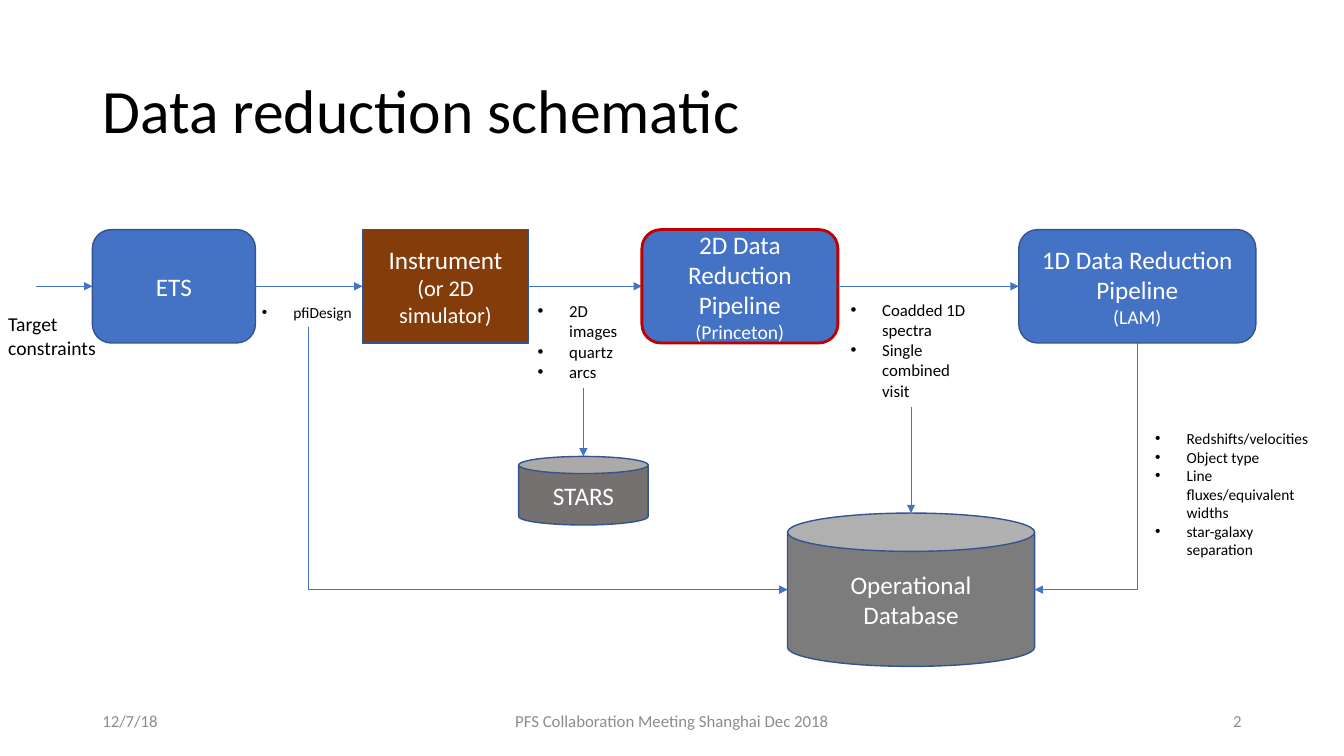
from dataclasses import dataclass

from lxml import etree
from pptx import Presentation
from pptx.dml.color import RGBColor
from pptx.enum.shapes import MSO_CONNECTOR, MSO_SHAPE
from pptx.enum.text import MSO_ANCHOR, MSO_AUTO_SIZE, PP_ALIGN
from pptx.oxml.ns import qn
from pptx.util import Pt

ROUND, RECT, CAN = MSO_SHAPE.ROUNDED_RECTANGLE, MSO_SHAPE.RECTANGLE, MSO_SHAPE.CAN
STRAIGHT, ELBOW = MSO_CONNECTOR.STRAIGHT, MSO_CONNECTOR.ELBOW
LEFT, MID, RIGHT = PP_ALIGN.LEFT, PP_ALIGN.CENTER, PP_ALIGN.RIGHT
TOP, MIDDLE = MSO_ANCHOR.TOP, MSO_ANCHOR.MIDDLE


@dataclass(frozen=True)
class Theme:
    face: str = "Calibri"
    black: str = "000000"
    white: str = "FFFFFF"
    blue: str = "4472C4"
    navy: str = "325491"
    red: str = "C00000"
    brown: str = "843C0B"
    stone: str = "767171"
    gray: str = "7C7C7C"
    pale: str = "8C8C8C"
    title: int = 44
    head: int = 18
    sub: int = 16
    label: int = 14
    note: int = 12
    small: int = 11
    indent: float = 22.5


class Board:
    def __init__(self, deck, theme):
        self.theme = theme
        self.slide = deck.slides.add_slide(deck.slide_layouts[5])
        self.shapes = self.slide.shapes

    def words(self, shape, lines, color, align=LEFT, anchor=TOP, bullet=False):
        frame = shape.text_frame
        frame.word_wrap = True
        frame.vertical_anchor = anchor
        for i, (text, size) in enumerate(lines):
            para = frame.add_paragraph() if i else frame.paragraphs[0]
            para.text = text
            para.alignment = align
            if bullet:
                self.dot(para)
            font = para.font
            font.name, font.size = self.theme.face, Pt(size)
            font.color.rgb = RGBColor.from_string(color)

    def dot(self, para):
        props = para._p.get_or_add_pPr()
        indent = Pt(self.theme.indent)
        props.set("marL", str(indent))
        props.set("indent", str(-indent))
        etree.SubElement(props, qn("a:buFont")).set("typeface", "Arial")
        etree.SubElement(props, qn("a:buChar")).set("char", "•")

    def title(self, text, *spot):
        shape = self.shapes.title
        shape.left, shape.top, shape.width, shape.height = map(Pt, spot)
        self.words(shape, [(text, self.theme.title)], self.theme.black, anchor=MIDDLE)
        shape.text_frame.auto_size = MSO_AUTO_SIZE.NONE
        shape.text_frame.paragraphs[0].line_spacing = 0.9

    def text(self, spot, lines, color, **style):
        self.words(self.shapes.add_textbox(*map(Pt, spot)), lines, color, **style)

    def notes(self, spot, size, *items):
        self.text(spot, [(item, size) for item in items], self.theme.black, bullet=True)

    def node(self, kind, spot, fill, *lines, edge=None, width=1):
        shape = self.shapes.add_shape(kind, *map(Pt, spot))
        shape.shadow.inherit = False
        shape.fill.solid()
        shape.fill.fore_color.rgb = RGBColor.from_string(fill)
        shape.line.color.rgb = RGBColor.from_string(edge or self.theme.navy)
        shape.line.width = Pt(width)
        self.words(shape, lines, self.theme.white, align=MID, anchor=MIDDLE)

    def arrow(self, *ends, kind=STRAIGHT):
        link = self.shapes.add_connector(kind, *map(Pt, ends))
        link.line.color.rgb = RGBColor.from_string(self.theme.blue)
        link.line.width = Pt(0.5)
        props = link._element.spPr
        etree.SubElement(props.find(qn("a:ln")), qn("a:tailEnd")).set("type", "triangle")
        etree.SubElement(props, qn("a:effectLst"))
        return link

    def bend(self, x1, y1, x2, y2):
        mid_x, mid_y = (x1 + x2) / 2, (y1 + y2) / 2
        side = (y2 - y1) / 2 * (-1 if x2 > x1 else 1)
        rise = abs(x2 - x1) / 2
        link = self.arrow(mid_x - side, mid_y - rise, mid_x + side, mid_y + rise, kind=ELBOW)
        props = link._element.spPr
        props.find(qn("a:xfrm")).set("rot", str((270 if x2 > x1 else 90) * 60000))
        props.find(qn("a:prstGeom")).set("prst", "bentConnector2")


def main():
    deck = Presentation()
    deck.slide_width, deck.slide_height = Pt(960), Pt(540)
    look = Theme()
    board = Board(deck, look)
    board.title("Data reduction schematic", 66, 28.8, 828, 104.4)

    top, high = 164, 81
    axis = top + high / 2
    steps = [
        (ROUND, 66, 116.5, look.blue, [("ETS", look.head)], {}),
        (RECT, 259, 118.5, look.brown,
         [("Instrument", look.head), ("(or 2D simulator)", look.sub)], {}),
        (ROUND, 458.5, 140, look.blue,
         [("2D Data Reduction Pipeline", look.head), ("(Princeton)", look.label)],
         {"edge": look.red, "width": 2}),
        (ROUND, 727.7, 169.4, look.blue,
         [("1D Data Reduction Pipeline", look.head), ("(LAM)", look.label)], {}),
    ]
    start = 25.5
    for kind, left, wide, fill, lines, style in steps:
        board.arrow(start, axis, left, axis)
        board.node(kind, (left, top, wide, high), fill, *lines, **style)
        start = left + wide

    board.node(CAN, (370.5, 326, 92.5, 49), look.stone, ("STARS", look.head))
    board.node(CAN, (562.5, 366.5, 176.5, 109.5), look.gray,
               ("Operational", look.head), ("Database", look.head))

    board.arrow(416.7, 277, 416.7, 326)
    board.arrow(650.8, 290.5, 650.8, 366.5)
    board.bend(220.5, 233.5, 562.5, 421.2)
    board.bend(812.4, top + high, 739, 421.2)

    board.text((-1.2, 219.5, 89, 63),
               [("Target", look.label), ("constraints", look.label)], look.black)
    board.notes((180, 213, 79, 21), look.small, "pfiDesign")
    board.notes((377, 211.5, 79, 65.5), look.note, "2D images", "quartz", "arcs")
    board.notes((600.5, 210.5, 101, 80), look.note,
                "Coadded 1D spectra", "Single combined visit")
    board.notes((818, 303, 131, 115), look.small, "Redshifts/velocities", "Object type",
                "Line fluxes/equivalent widths", "star-galaxy separation")

    footer = [
        (66, 216, "12/7/18", LEFT),
        (318, 324, "PFS Collaboration Meeting Shanghai Dec 2018", MID),
        (678, 216, "2", RIGHT),
    ]
    for left, wide, text, align in footer:
        board.text((left, 500.5, wide, 28.8), [(text, look.note)], look.pale,
                   align=align, anchor=MIDDLE)
    deck.save("out.pptx")


if __name__ == "__main__":
    main()
